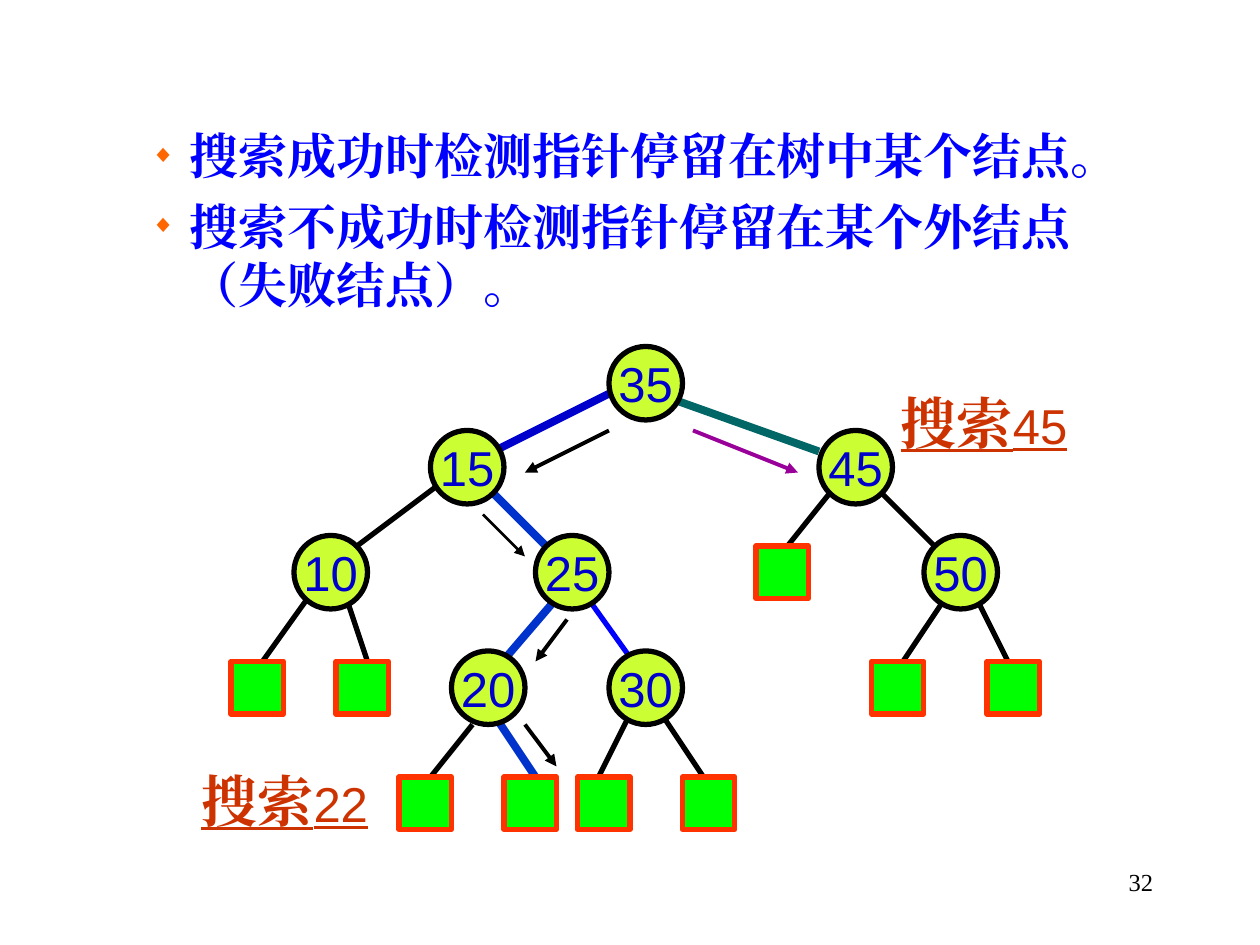
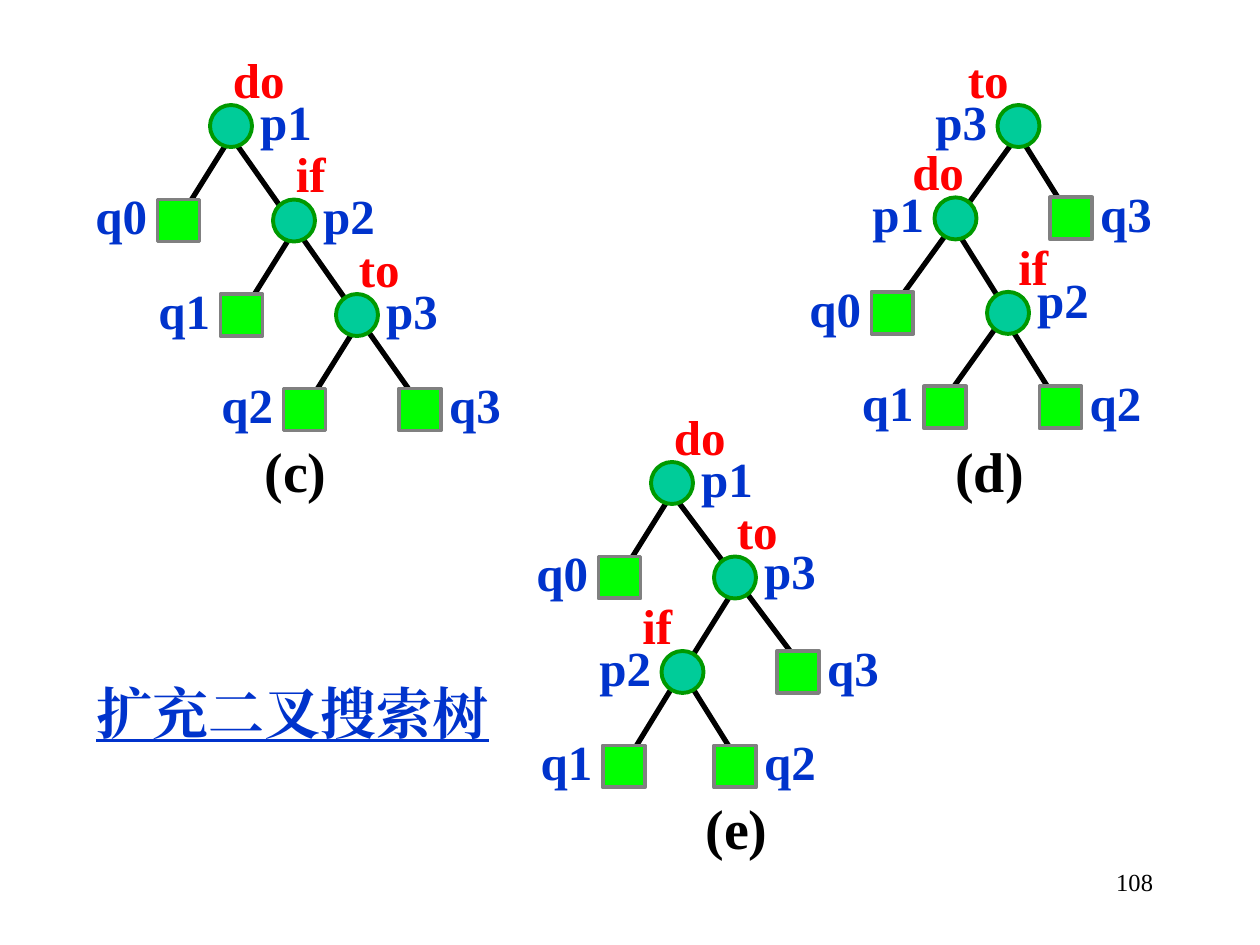
from lxml.etree import SubElement
from pptx import Presentation
from pptx.dml.color import RGBColor
from pptx.enum.lang import MSO_LANGUAGE_ID as Language
from pptx.enum.shapes import MSO_CONNECTOR as Connector, MSO_SHAPE as Shape
from pptx.enum.text import MSO_ANCHOR as Anchor, MSO_AUTO_SIZE as AutoSize, PP_ALIGN as Align
from pptx.oxml.ns import qn
from pptx.util import Inches, Pt

# Grid: 12 columns and 12 rows to the inch
COLUMNS, ROWS = 120, 90
WIDTH, HEIGHT = Inches(10), Inches(7.5)

SERIF, SANS = "Times New Roman", "Arial"
BLACK, BLUE, GREEN, RED = "000000", "0033CC", "00FF00", "FF0000"
RUST = "CC3300"

# Search tree: circles (column, row, key) and square external nodes (column, row)
KEY_NODES = [(58, 33, "35"), (41, 41, "15"), (78, 41, "45"), (88, 51, "50"), (51, 51, "25"),
             (28, 51, "10"), (43, 62, "20"), (58, 62, "30")]
EXTERNAL_NODES = [(22, 63), (32, 63), (38, 74), (48, 74), (55, 74), (65, 74),
                  (72, 52), (83, 63), (94, 63)]
PLAIN_EDGES = [(63, 68, 67, 74), (93, 57, 96, 63), (33, 57, 35, 63), (90, 57, 86, 63),
               (60, 68, 57, 74), (45, 69, 41, 74), (30, 56, 25, 63), (84, 47, 89, 52),
               (79, 47, 75, 52), (42, 46, 34, 52)]
PATH_EDGES = [((47, 68, 51, 74), BLUE, 4.5), ((64, 38, 78, 43), "006666", 4.5),
              ((59, 37, 47, 43), "0000CC", 4.5), ((56, 57, 61, 64), "0000FF", 3),
              ((53, 57, 47, 64), BLUE, 4.5), ((46, 46, 52, 52), BLUE, 4.5)]
SEARCH_ARROWS = [((58, 41, 50, 45), BLACK, 2.25), ((46, 49, 50, 53), BLACK, 1.5),
                 ((54, 59, 51, 63), BLACK, 2.25), ((50, 69, 53, 73), BLACK, 2.25),
                 ((66, 41, 76, 45), "990099", 2.25)]

# Extended trees. Inner: column, row, name, side, keyword, keyword shift, name lift.
# Outer: column, row, name, side.
KEYWORD_WIDTH = {"do": 7.3, "if": 5.3, "to": 6.4}
EXTENDED_TREES = [
    dict(caption=("(c)", 24, 41),
         edges=[(22, 13, 17, 21), (28, 22, 23, 30), (34, 31, 29, 39), (22, 13, 41, 40)],
         inner=[(20, 10, "p1", "right", "do", 1, 0), (26, 19, "p2", "right", "if", 1, 0),
                (32, 28, "p3", "right", "to", 1, 0)],
         outer=[(15, 19, "q0", "left"), (21, 28, "q1", "left"),
                (27, 37, "q2", "left"), (38, 37, "q3", "right")]),
    dict(caption=("(d)", 89.8, 41),
         edges=[(95, 31, 90, 38), (97, 12.8, 102, 20.8), (91, 21.8, 96, 29.8),
                (96, 30.8, 101, 38.8), (97, 12.8, 86, 28)],
         inner=[(95, 10, "p3", "left", "to", -4, 0), (89, 18.8, "p1", "left", "do", -3.3, 0),
                (94, 27.8, "p2", "right", "if", 1.8, 0.8)],
         outer=[(100, 18.8, "q3", "right"), (83, 27.8, "q0", "left"),
                (88, 36.8, "q1", "left"), (99, 36.8, "q2", "right")]),
    dict(caption=("(e)", 66, 75),
         edges=[(65, 64, 70, 72), (64, 47, 59, 55), (70, 56, 65, 64),
                (64.3, 65, 59.4, 73), (64, 47, 76, 63)],
         inner=[(62, 44, "p1", "right", "do", 1, 0), (68, 53, "p3", "right", "to", 1, 0.2),
                (63, 62, "p2", "left", "if", -3, 0)],
         outer=[(57, 53, "q0", "left"), (57.4, 71, "q1", "left"),
                (68, 71, "q2", "right"), (74, 62, "q3", "right")]),
]


def colour(hex_code):
    return RGBColor.from_string(hex_code)


def across(columns):
    return round(WIDTH * columns / COLUMNS)


def down(rows):
    return round(HEIGHT * rows / ROWS)


def place(column, row, columns, rows):
    return across(column), down(row), across(columns), down(rows)


def style(span, size, ink, name=SERIF, bold=False, underline=False):
    font = span.font
    font.size, font.name, font.bold = Pt(size), name, bold
    font.color.rgb = colour(ink)
    if underline:
        font.underline = True
    if any(ord(letter) > 0x2E80 for letter in span.text):
        font.language_id = Language.SIMPLIFIED_CHINESE
        SubElement(span._r.get_or_add_rPr(), qn("a:ea"), typeface=name)


def add_line(page, ends, ink=BLACK, weight=3, arrow=False):
    x1, y1, x2, y2 = ends
    line = page.shapes.add_connector(Connector.STRAIGHT, across(x1), down(y1), across(x2), down(y2))
    line.line.color.rgb = colour(ink)
    line.line.width = Pt(weight)
    properties = line._element.spPr
    if arrow:
        SubElement(properties.find(qn("a:ln")), qn("a:tailEnd"), type="triangle")
    SubElement(properties, qn("a:effectLst"))


def add_node(page, kind, column, row, size, fill, outline, weight):
    node = page.shapes.add_shape(kind, *place(column, row, size, size))
    node.shadow.inherit = False
    node.fill.solid()
    node.fill.fore_color.rgb = colour(fill)
    node.line.color.rgb = colour(outline)
    node.line.width = Pt(weight)
    return node


def add_text(page, area, text, size, ink, wrap=True, align=Align.LEFT, **look):
    box = page.shapes.add_textbox(*place(*area))
    frame = box.text_frame
    frame.text = text
    frame.word_wrap = wrap
    if not wrap:
        frame.auto_size = AutoSize.SHAPE_TO_FIT_TEXT
    para = frame.paragraphs[0]
    para.alignment = align
    style(para.runs[0], size, ink, **look)
    return para


def add_label(page, column, row, columns, text, ink, size=28):
    add_text(page, (column, row, columns, size * 0.24), text, size, ink, wrap=False, bold=True)


def add_search_label(page, column, row, columns, key):
    para = add_text(page, (column, row, columns, 7.6), "搜索", 32, RUST, bold=True, underline=True)
    span = para.add_run()
    span.text = key
    style(span, 28, RUST, SANS, underline=True)


def add_bullets(page, area, lines):
    frame = page.shapes.add_textbox(*place(*area)).text_frame
    frame.word_wrap = True
    frame.text = "\n".join(lines)
    for index, para in enumerate(frame.paragraphs):
        properties = para._p.get_or_add_pPr()
        properties.set("marL", str(Inches(0.9)))
        properties.set("indent", str(-Inches(0.31)))
        if index:
            para.space_before = Pt(6.5)
        bullet_colour = SubElement(properties, qn("a:buClr"))
        SubElement(bullet_colour, qn("a:srgbClr"), val="FF6600")
        SubElement(properties, qn("a:buSzPct"), val="50000")
        SubElement(properties, qn("a:buFont"), typeface=SERIF)
        SubElement(properties, qn("a:buChar"), char="◆")
        style(para.runs[0], 28, "0000FF", bold=True)


def add_page(deck, number):
    page = deck.slides.add_slide(deck.slide_layouts[6])
    add_text(page, (86, 82, 25, 6), number, 14, BLACK, align=Align.RIGHT)
    return page


def draw_search_tree(page):
    for ends in PLAIN_EDGES:
        add_line(page, ends)
    for edge in PATH_EDGES:
        add_line(page, *edge)
    for column, row, key in KEY_NODES:
        node = add_node(page, Shape.OVAL, column, row, 7, "CCFF33", BLACK, 3)
        frame = node.text_frame
        frame.text = key
        frame.word_wrap = False
        frame.vertical_anchor = Anchor.MIDDLE
        frame.paragraphs[0].alignment = Align.CENTER
        style(frame.paragraphs[0].runs[0], 28, "0000CC", SANS)
    for column, row in EXTERNAL_NODES:
        add_node(page, Shape.RECTANGLE, column, row, 5, GREEN, "FF3300", 3)
    for arrow in SEARCH_ARROWS:
        add_line(page, *arrow, arrow=True)


def add_weight(page, column, row, name, side, lift=0):
    shift = 3.6 if side == "right" else -7.1
    add_label(page, column + shift, row - 1.9 - lift, 7.3, name, BLUE)


def draw_extended_tree(page, tree):
    for ends in tree["edges"]:
        add_line(page, ends)
    for column, row, name, side, keyword, shift, lift in tree["inner"]:
        add_node(page, Shape.OVAL, column, row, 4, "00CC99", "009900", 2.25)
        add_weight(page, column, row, name, side, lift)
        add_label(page, column + shift, row - 5.9, KEYWORD_WIDTH[keyword], keyword, RED)
    for column, row, name, side in tree["outer"]:
        add_node(page, Shape.RECTANGLE, column, row, 4, GREEN, "808080", 2.25)
        add_weight(page, column, row, name, side)
    text, column, row = tree["caption"]
    add_label(page, column, row, 8.9 if text == "(d)" else 8.3, text, BLACK, 32)


def main():
    deck = Presentation()
    deck.slide_width, deck.slide_height = WIDTH, HEIGHT

    # Where a search ends
    page = add_page(deck, "32")
    add_bullets(page, (6.1, 11.4, 103.2, 18), [
        "搜索成功时检测指针停留在树中某个结点。",
        "搜索不成功时检测指针停留在某个外结点（失败结点）。"])
    draw_search_tree(page)
    add_search_label(page, 18, 72.4, 19.4, "22")
    add_search_label(page, 84.6, 36.4, 20, "45")

    # Extended binary search trees
    page = add_page(deck, "108")
    add_text(page, (8, 64, 42.1, 9), "扩充二叉搜索树", 32, BLUE, bold=True, underline=True)
    for tree in EXTENDED_TREES:
        draw_extended_tree(page, tree)

    deck.save("out.pptx")


if __name__ == "__main__":
    main()
